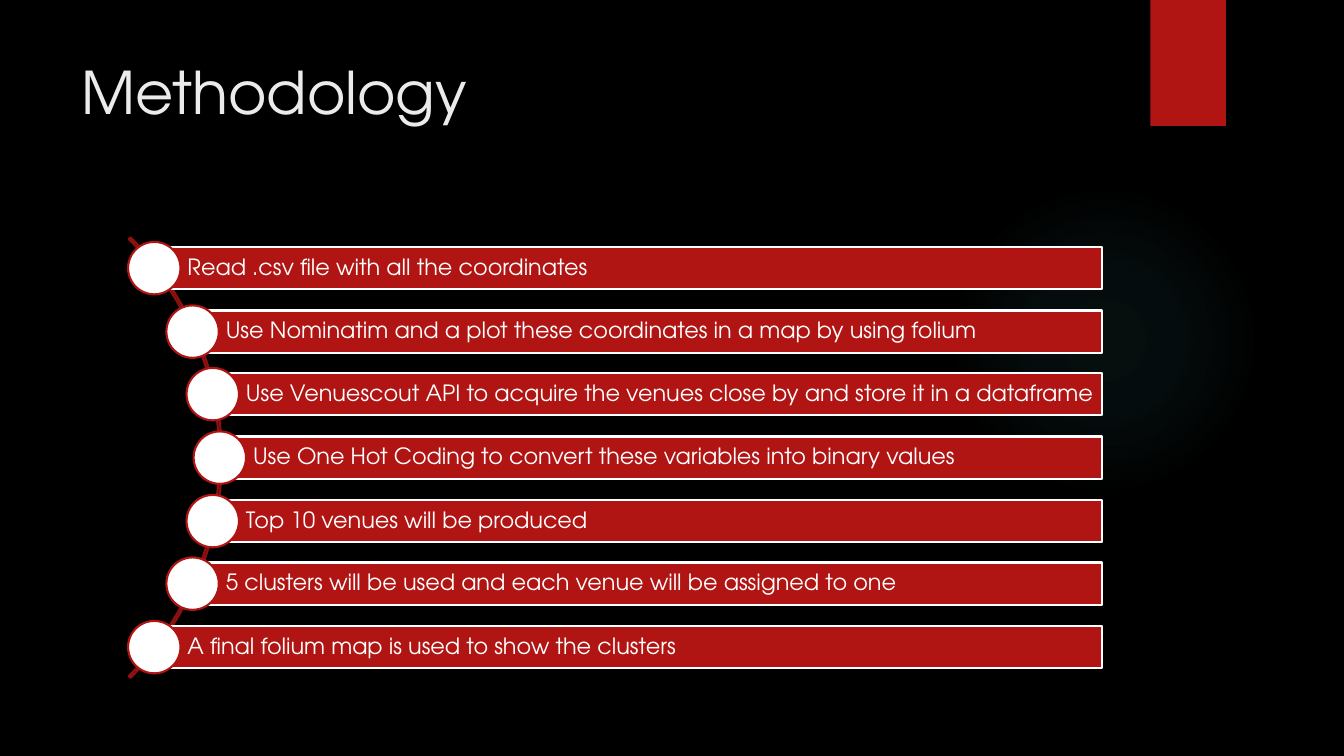
import math

import pptx
import pptx.dml.color
import pptx.enum.shapes
import pptx.enum.text
import pptx.oxml
import pptx.oxml.ns
import pptx.util

SHAPE = pptx.enum.shapes.MSO_SHAPE
ANCHOR = pptx.enum.text.MSO_ANCHOR
COLORS = {
    "background": "000000",
    "red": "B01513",
    "arc": "8D110F",
    "white": "FFFFFF",
    "title": "EBEBEB",
    "glow": "50B9C1",
}
STEPS = [
    "Read .csv file with all the coordinates",
    "Use Nominatim and a plot these coordinates in a map by using folium",
    "Use Venuescout API to acquire the venues close by and store it in a dataframe",
    "Use One Hot Coding to convert these variables into binary values",
    "Top 10 venues will be produced",
    "5 clusters will be used and each venue will be assigned to one",
    "A final folium map is used to show the clusters",
]
CENTER_X, CENTER_Y, RADIUS = -86, 454, 304
FIRST_TO_LAST = 376
BAR_RIGHT, BAR_HEIGHT, DOT = 1093, 42, 52


def px(length):
    return pptx.util.Emu(length * 9144)


def color(name):
    return pptx.dml.color.RGBColor.from_string(COLORS[name])


class Deck:
    font_name = "TeX Gyre Adventor"

    def __init__(self):
        self.presentation = pptx.Presentation()
        self.presentation.slide_width = px(1333)
        self.presentation.slide_height = px(750)
        self.slide = self.presentation.slides.add_slide(self.presentation.slide_layouts[5])
        self.slide.background.fill.solid()
        self.slide.background.fill.fore_color.rgb = color("background")

    def shape(self, kind, left, top, width, height, fill=None, line=None):
        shape = self.slide.shapes.add_shape(kind, px(left), px(top), px(width), px(height))
        shape.shadow.inherit = False
        if fill:
            shape.fill.solid()
            shape.fill.fore_color.rgb = color(fill)
        else:
            shape.fill.background()
        if line:
            shape.line.color.rgb = color(line)
            shape.line.width = pptx.util.Pt(1.5)
        else:
            shape.line.fill.background()
        return shape

    def label(self, holder, text, size, ink, anchor):
        frame = holder.text_frame
        frame.text = text
        frame.word_wrap = True
        frame.auto_size = pptx.enum.text.MSO_AUTO_SIZE.NONE
        frame.vertical_anchor = anchor
        paragraph = frame.paragraphs[0]
        paragraph.alignment = pptx.enum.text.PP_ALIGN.LEFT
        font = paragraph.runs[0].font
        font.name = self.font_name
        font.size = pptx.util.Pt(size)
        font.color.rgb = color(ink)
        return frame

    def title(self, text, left, top, width, height):
        heading = self.slide.shapes.title
        heading.left, heading.top = px(left), px(top)
        heading.width, heading.height = px(width), px(height)
        self.label(heading, text, 42, "title", ANCHOR.TOP)

    def glow(self, left, top, size, stops):
        halo = self.shape(SHAPE.OVAL, left, top, size, size)
        stop_xml = "".join(
            f'<a:gs pos="{position * 1000}"><a:srgbClr val="{COLORS["glow"]}">'
            f'<a:alpha val="{alpha * 1000}"/></a:srgbClr></a:gs>'
            for position, alpha in stops
        )
        gradient = pptx.oxml.parse_xml(
            f'<a:gradFill {pptx.oxml.ns.nsdecls("a")}><a:gsLst>{stop_xml}</a:gsLst>'
            '<a:path path="circle"><a:fillToRect l="50000" t="50000" r="50000" b="50000"/>'
            "</a:path></a:gradFill>"
        )
        properties = halo.element.spPr
        properties.replace(properties.find(pptx.oxml.ns.qn("a:noFill")), gradient)

    def arc(self, left, top, size):
        rail = self.shape(SHAPE.BLOCK_ARC, left, top, size, size, line="arc")
        for index, value in enumerate((189, 27, 0.004)):
            rail.adjustments[index] = value

    def step(self, text, x, y):
        bar = self.shape(SHAPE.RECTANGLE, x, y - BAR_HEIGHT // 2,
                         BAR_RIGHT - x, BAR_HEIGHT, "red", "white")
        frame = self.label(bar, text, 16, "white", ANCHOR.MIDDLE)
        frame.margin_left = px(33)
        frame.margin_top = frame.margin_right = frame.margin_bottom = px(4)
        frame.paragraphs[0].line_spacing = 0.9
        self.shape(SHAPE.OVAL, x - DOT // 2, y - DOT // 2, DOT, DOT, "white", "red")


def main():
    deck = Deck()
    deck.glow(941, 183, 308, [(0, 7), (36, 6), (69, 0)])
    deck.shape(SHAPE.RECTANGLE, 1141, 0, 75, 125, "red")
    deck.title("Methodology", 71, 50, 1029, 153)
    deck.arc(-398, 145, 618)
    pitch = FIRST_TO_LAST / (len(STEPS) - 1)
    for index, text in enumerate(STEPS):
        offset = index * pitch - FIRST_TO_LAST / 2
        x = CENTER_X + math.sqrt(RADIUS ** 2 - offset ** 2)
        deck.step(text, round(x), round(CENTER_Y + offset))
    deck.presentation.save("out.pptx")


if __name__ == "__main__":
    main()
